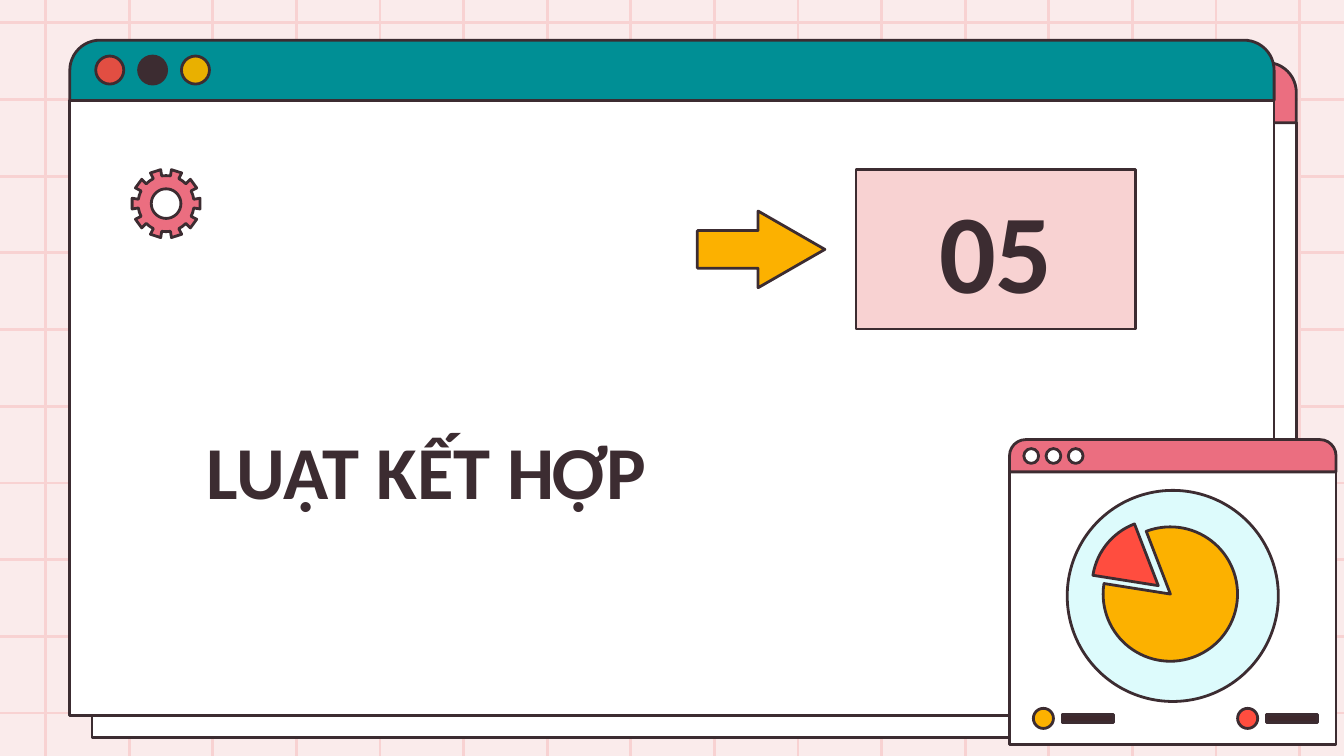
"""Build the section slide: browser windows, gear, arrow and pie on a grid."""
import math

import lxml.etree
import pptx
import pptx.dml.color
import pptx.enum.shapes
import pptx.enum.text
import pptx.oxml.ns
import pptx.util

Cm = pptx.util.Cm
Kind = pptx.enum.shapes.MSO_SHAPE
Anchor = pptx.enum.text.MSO_ANCHOR
Align = pptx.enum.text.PP_ALIGN
WIDE, HIGH = 25.4, 14.29
HUES = {
    "paper": "FAEBEB", "blush": "F8D2D2", "ink": "3C2C31", "bark": "3E282C",
    "white": "FFFFFF", "pink": "EB6E80", "teal": "008F95", "brick": "E24E42",
    "gold": "E9B000", "amber": "FCB100", "red": "FF4D3F", "ice": "DDFBFC",
}
HUES = {name: pptx.dml.color.RGBColor.from_string(code) for name, code in HUES.items()}


def paint(shape, fill):
    shape.shadow.inherit = False
    shape.fill.solid()
    shape.fill.fore_color.rgb = HUES[fill]
    shape.line.color.rgb = HUES["ink"]
    shape.line.width = pptx.util.Pt(1.5)


def write(shape, words, size=40, align=Align.LEFT, anchor=Anchor.MIDDLE):
    frame = shape.text_frame
    frame.word_wrap = True
    frame.vertical_anchor = anchor
    frame.margin_left = frame.margin_right = Cm(0.25)
    frame.margin_top = frame.margin_bottom = Cm(0.25)
    para = frame.paragraphs[0]
    para.alignment = align
    run = para.add_run()
    run.text = words
    run.font.name = "Calibri"
    run.font.size = pptx.util.Pt(size)
    run.font.bold = True
    run.font.color.rgb = HUES["ink"]


deck = pptx.Presentation()
deck.slide_width, deck.slide_height = Cm(WIDE), Cm(HIGH)
slide = deck.slides.add_slide(deck.slide_layouts[6])
slide.background.fill.solid()
slide.background.fill.fore_color.rgb = HUES["paper"]
shapes = slide.shapes

grid = [(0.86 + 1.58 * i, 0, 0.86 + 1.58 * i, HIGH) for i in range(16)]
grid += [(0, 0.43 + 1.45 * i, WIDE, 0.43 + 1.45 * i) for i in range(10)]
for ends in grid:
    line = shapes.add_connector(
        pptx.enum.shapes.MSO_CONNECTOR.STRAIGHT, *[Cm(end) for end in ends])
    line.line.color.rgb = HUES["blush"]
    line.line.width = pptx.util.Pt(1.5)
    lxml.etree.SubElement(line.element.spPr, pptx.oxml.ns.qn("a:effectLst"))

parts = []
for gap, hue in ((0.42, "pink"), (0, "teal")):
    left, top = 1.32 + gap, 0.76 + gap
    parts += [
        (Kind.RECTANGLE, left, top + 1.14, 22.76, 11.62, "white", ()),
        (Kind.ROUND_2_SAME_RECTANGLE, left, top, 22.76, 1.14, hue, (0.5, 0)),
    ]
    for i, dot in enumerate(("brick", "ink", "gold")):
        parts.append((Kind.OVAL, left + 0.49 + 0.81 * i, top + 0.3, 0.53, 0.53, dot, ()))

parts += [
    (Kind.RIGHT_ARROW, 13.18, 3.99, 2.41, 1.45, "amber", (0.49, 0.87)),
    (Kind.RECTANGLE, 19.08, 8.92, 6.17, 5.16, "white", ()),
    (Kind.ROUND_2_SAME_RECTANGLE, 19.08, 8.31, 6.17, 0.61, "pink", (0.5, 0)),
]
for i in range(3):
    parts.append((Kind.OVAL, 19.35 + 0.42 * i, 8.48, 0.28, 0.28, "white", ()))
for i, dot in enumerate(("amber", "red")):
    left = 19.53 + 3.86 * i
    parts += [
        (Kind.OVAL, left, 13.39, 0.38, 0.38, dot, ()),
        (Kind.RECTANGLE, left + 0.54, 13.51, 0.97, 0.15, "bark", ()),
    ]
start, stop = 189, 249
parts += [
    (Kind.OVAL, 20.17, 9.27, 3.99, 3.99, "ice", ()),
    (Kind.PIE, 20.85, 9.96, 2.54, 2.54, "amber", (stop * 0.6, start * 0.6)),
]
for kind, left, top, width, height, fill, tweaks in parts:
    shape = shapes.add_shape(kind, Cm(left), Cm(top), Cm(width), Cm(height))
    for i, tweak in enumerate(tweaks):
        shape.adjustments[i] = tweak
    paint(shape, fill)

slice = [(0, 0)] + [(1.25, turn) for turn in range(start, stop + 1, 4)]
teeth = []
for turn in range(0, 360, 36):
    teeth += [(0.65, turn - 9), (0.65, turn + 9)]
    teeth += [(0.53, turn + 9), (0.53, turn + 18), (0.53, turn + 27)]
hole = [(0.28, turn) for turn in range(360, 0, -10)]
for mid, down, fill, rings in (
        (21.89, 11.07, "red", [slice]), (3.14, 3.85, "pink", [teeth, hole])):
    pen = None
    for ring in rings:
        spots = [(Cm(mid + far * math.cos(math.radians(turn))),
                  Cm(down + far * math.sin(math.radians(turn)))) for far, turn in ring]
        if pen:
            pen.move_to(*spots[0])
        else:
            pen = shapes.build_freeform(*spots[0])
        pen.add_line_segments(spots[1:], close=True)
    paint(pen.convert_to_shape(), fill)

title = shapes.add_textbox(Cm(3.66), Cm(5.84), Cm(10.97), Cm(4.14))
write(title, "LUẬT KẾT HỢP", anchor=Anchor.BOTTOM)
badge = shapes.add_shape(Kind.RECTANGLE, Cm(16.18), Cm(3.2), Cm(5.28), Cm(3.02))
paint(badge, "blush")
write(badge, "05", size=60, align=Align.CENTER)

deck.save("out.pptx")
